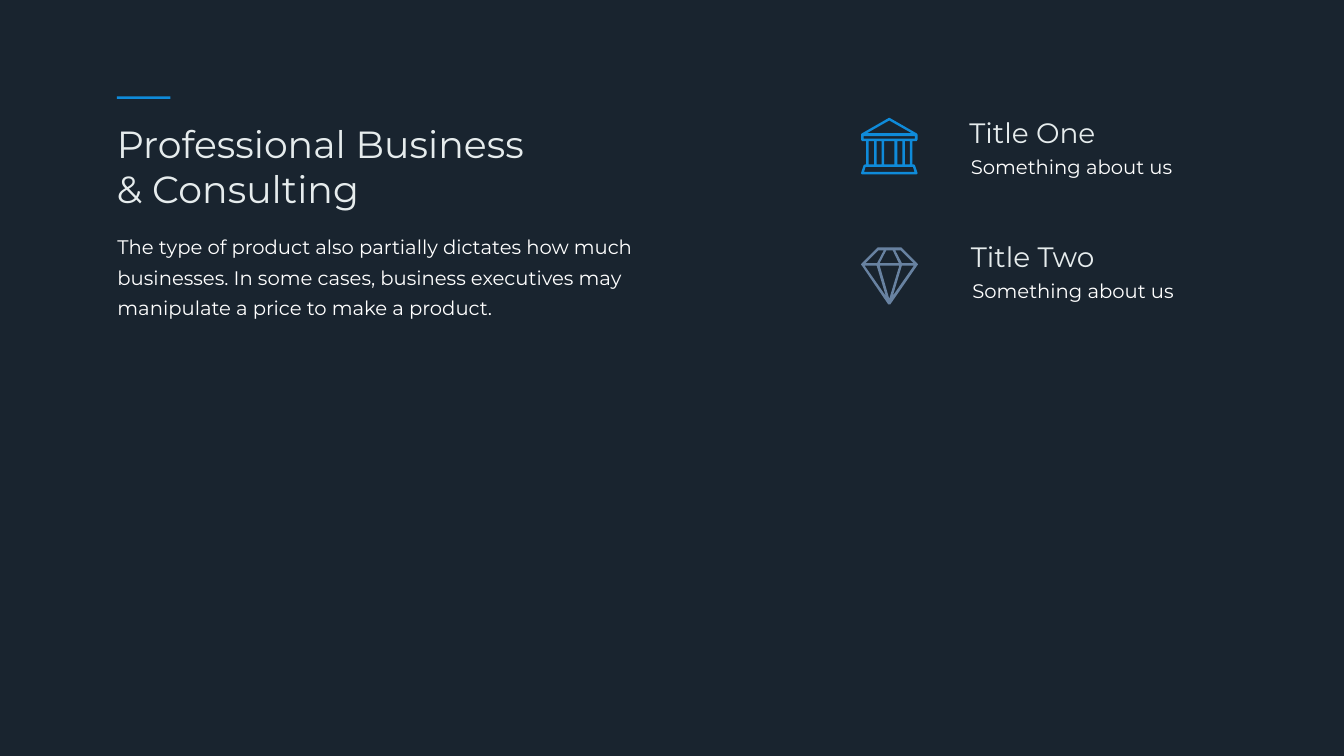
"""Build the business and consulting slide with its two icon features."""
from dataclasses import dataclass

from pptx import Presentation, slide as sl, util as u
from pptx.dml.color import RGBColor
from pptx.enum import shapes, text
from pptx.text.text import TextFrame

PX = u.Inches(1) // 100
FONT = "Montserrat"
COLOURS = {
    "navy": "19242F",
    "mist": "E6ECED",
    "white": "FFFFFF",
    "blue": "0F8BDA",
    "steel": "6882A1",
}

Contour = list[tuple[int, int]]


@dataclass(frozen=True)
class Style:
    size: int
    colour: str
    spacing: float | u.Length = 1.0
    inset_x: int = 10
    inset_y: int = 5


@dataclass(frozen=True)
class Feature:
    title: str
    caption: str
    left: int
    top: int
    icon_top: int
    icon: list[Contour]
    colour: str


HEADLINE = Style(54, "mist")
BODY = Style(28, "white", u.Pt(43), 24, 12)
FEATURE_TITLE = Style(40, "mist", u.Pt(40.8))
CAPTION = Style(28, "white")


def rectangle(left: int, top: int, right: int, bottom: int) -> Contour:
    return [(left, top), (right, top), (right, bottom), (left, bottom)]


BANK = [
    [(110, 46), (112, 43), (112, 33), (111, 31), (57, 0), (55, 0), (1, 31), (0, 33),
     (0, 43), (2, 46), (10, 46), (10, 92), (8, 92), (5, 94), (0, 109), (0, 110),
     (2, 112), (110, 112), (112, 110), (112, 109), (107, 94), (105, 92), (102, 92), (102, 46)],
    [(56, 5), (100, 30), (12, 30)],
    rectangle(5, 36, 107, 41),
    *(rectangle(left, 46, right, 92)
      for left, right in ((15, 26), (31, 41), (46, 66), (72, 82), (87, 97))),
    [(103, 97), (106, 107), (6, 107), (9, 97)],
]
DIAMOND = [
    [(113, 34), (112, 32), (82, 2), (80, 0), (33, 0), (31, 2), (1, 32), (0, 34),
     (1, 35), (54, 113), (58, 113), (112, 35)],
    [(63, 96), (81, 36), (105, 36)],
    [(56, 102), (37, 36), (76, 36)],
    [(7, 36), (31, 36), (49, 96)],
    [(34, 6), (45, 6), (32, 31), (9, 31)],
    [(63, 6), (75, 31), (37, 31), (50, 6)],
    [(79, 6), (104, 31), (81, 31), (68, 6)],
]
ICON_LEFT = 1708
FEATURES = [
    Feature("Title One", "Something about us", 1913, 234, 234, BANK, "blue"),
    Feature("Title Two", "Something about us", 1916, 480, 491, DIAMOND, "steel"),
]


def rgb(name: str) -> RGBColor:
    return RGBColor.from_string(COLOURS[name])


def write(frame: TextFrame, words: str, style: Style) -> None:
    frame.word_wrap = True
    frame.auto_size = text.MSO_AUTO_SIZE.SHAPE_TO_FIT_TEXT
    frame.vertical_anchor = text.MSO_ANCHOR.TOP
    frame.margin_left = frame.margin_right = style.inset_x * PX
    frame.margin_top = frame.margin_bottom = style.inset_y * PX
    para = frame.paragraphs[0]
    para.alignment = text.PP_ALIGN.LEFT
    para.line_spacing = style.spacing
    para.space_before = u.Pt(0)
    span = para.add_run()
    span.text = words
    span.font.name = FONT
    span.font.size = u.Pt(style.size)
    span.font.color.rgb = rgb(style.colour)


def add_text(page: sl.Slide, left: int, top: int, width: int, height: int,
             words: str, style: Style) -> None:
    box = page.shapes.add_textbox(left * PX, top * PX, width * PX, height * PX)
    write(box.text_frame, words, style)


def paint(shape, colour: str) -> None:
    shape.shadow.inherit = False
    shape.fill.solid()
    shape.fill.fore_color.rgb = rgb(colour)
    shape.line.fill.background()


def add_icon(page: sl.Slide, contours: list[Contour], top: int, colour: str) -> None:
    builder = page.shapes.build_freeform(*contours[0][0], scale=PX)
    for number, contour in enumerate(contours):
        if number:
            builder.move_to(*contour[0])
        builder.add_line_segments(contour[1:], close=True)
    paint(builder.convert_to_shape(ICON_LEFT * PX, top * PX), colour)


def add_feature(page: sl.Slide, feature: Feature) -> None:
    add_icon(page, feature.icon, feature.icon_top, feature.colour)
    add_text(page, feature.left, feature.top, 405, 68, feature.title, FEATURE_TITLE)
    add_text(page, feature.left + 3, feature.top + 68, 423, 57, feature.caption, CAPTION)


def main() -> None:
    deck = Presentation()
    deck.slide_width, deck.slide_height = 2666 * PX, 1500 * PX
    page = deck.slides.add_slide(deck.slide_layouts.get_by_name("Title Only"))
    page.background.fill.solid()
    page.background.fill.fore_color.rgb = rgb("navy")

    title = page.shapes.title
    title.left, title.top, title.width, title.height = (
        length * PX for length in (222, 234, 885, 192))
    write(title.text_frame, "Professional Business & Consulting", HEADLINE)
    add_text(page, 209, 442, 1089, 200,
             "The type of product also partially dictates how much businesses. "
             "In some cases, business executives may manipulate a price to make a product.",
             BODY)
    accent = page.shapes.add_shape(
        shapes.MSO_SHAPE.RECTANGLE, 232 * PX, 191 * PX, 106 * PX, 5 * PX)
    paint(accent, "blue")

    for feature in FEATURES:
        add_feature(page, feature)
    deck.save("out.pptx")


if __name__ == "__main__":
    main()
